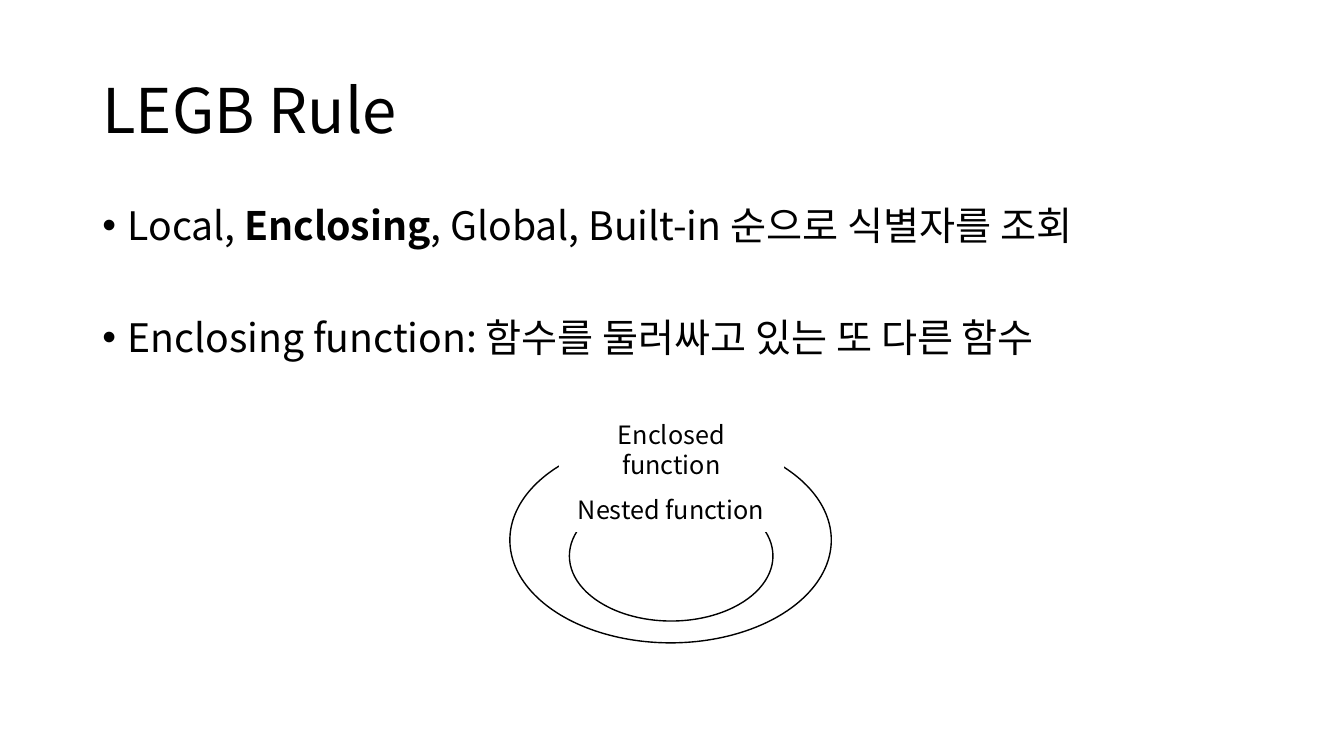
from lxml import etree
from pptx import Presentation
from pptx.dml.color import RGBColor
from pptx.enum.shapes import MSO_SHAPE as Shape
from pptx.enum.text import MSO_ANCHOR as Anchor, PP_ALIGN as Align
from pptx.oxml.ns import qn
from pptx.util import Cm, Pt

FONT = "Noto Sans CJK KR"
COLORS = {"ink": "000000", "paper": "FFFFFF"}


def write_text(paragraph, text, size=18, bold=False, color="ink"):
    """Add a run in the slide font, for both Latin and Korean letters."""
    run = paragraph.add_run()
    run.text = text
    run.font.name = FONT
    run.font.size = Pt(size)
    run.font.bold = bold
    run.font.color.rgb = RGBColor.from_string(COLORS[color])
    etree.SubElement(run.font._element, qn("a:ea"), typeface=FONT)


def add_figure(slide, kind, box, line, fill=None):
    shape = slide.shapes.add_shape(kind, *map(Cm, box))
    shape.shadow.inherit = False
    shape.line.color.rgb = RGBColor.from_string(COLORS[line])
    shape.line.width = Pt(1)
    if fill:
        shape.fill.solid()
        shape.fill.fore_color.rgb = RGBColor.from_string(COLORS[fill])
    else:
        shape.fill.background()
    return shape


presentation = Presentation()
presentation.slide_width = Cm(33.87)
presentation.slide_height = Cm(19.05)
slide = presentation.slides.add_slide(presentation.slide_layouts[6])

# Title
title = slide.shapes.add_textbox(Cm(2.33), Cm(1.01), Cm(29.21), Cm(3.68)).text_frame
title.word_wrap = True
title.vertical_anchor = Anchor.MIDDLE
title.paragraphs[0].line_spacing = 0.9
write_text(title.paragraphs[0], "LEGB Rule", size=44)

# Bullets: each is a list of (text, bold) runs after a space in points
bullets = [
    (10, [("Local, ", False), ("Enclosing", True),
          (", Global, Built-in 순으로 식별자를 조회", False)]),
    (50, [("Enclosing function: 함수를 둘러싸고 있는 또 다른 함수", False)]),
]
body = slide.shapes.add_textbox(Cm(2.33), Cm(5.07), Cm(29.21), Cm(12.09)).text_frame
body.word_wrap = True
for index, (space_before, runs) in enumerate(bullets):
    paragraph = body.add_paragraph() if index else body.paragraphs[0]
    paragraph.line_spacing = 0.9
    paragraph.space_before = Pt(space_before)
    properties = paragraph._p.get_or_add_pPr()
    properties.set("marL", str(Cm(0.64)))
    properties.set("indent", str(-Cm(0.64)))
    etree.SubElement(properties, qn("a:buFont"), typeface="Arial")
    etree.SubElement(properties, qn("a:buChar"), char="•")
    for text, bold in runs:
        write_text(paragraph, text, size=28, bold=bold)

# Nested scopes: each ellipse with a label covering its top edge
scopes = [
    ("Enclosed function", (12.85, 11.02, 8.1, 5.18), (14.1, 10.77, 5.64, 1.12)),
    ("Nested function", (14.35, 12.37, 5.13, 3.28), (14.27, 12.27, 5.28, 1.12)),
]
for name, ellipse_box, label_box in scopes:
    add_figure(slide, Shape.OVAL, ellipse_box, line="ink")
    label = add_figure(slide, Shape.RECTANGLE, label_box, line="paper", fill="paper")
    label.text_frame.word_wrap = True
    label.text_frame.vertical_anchor = Anchor.MIDDLE
    label.text_frame.paragraphs[0].alignment = Align.CENTER
    write_text(label.text_frame.paragraphs[0], name)

presentation.save("out.pptx")
